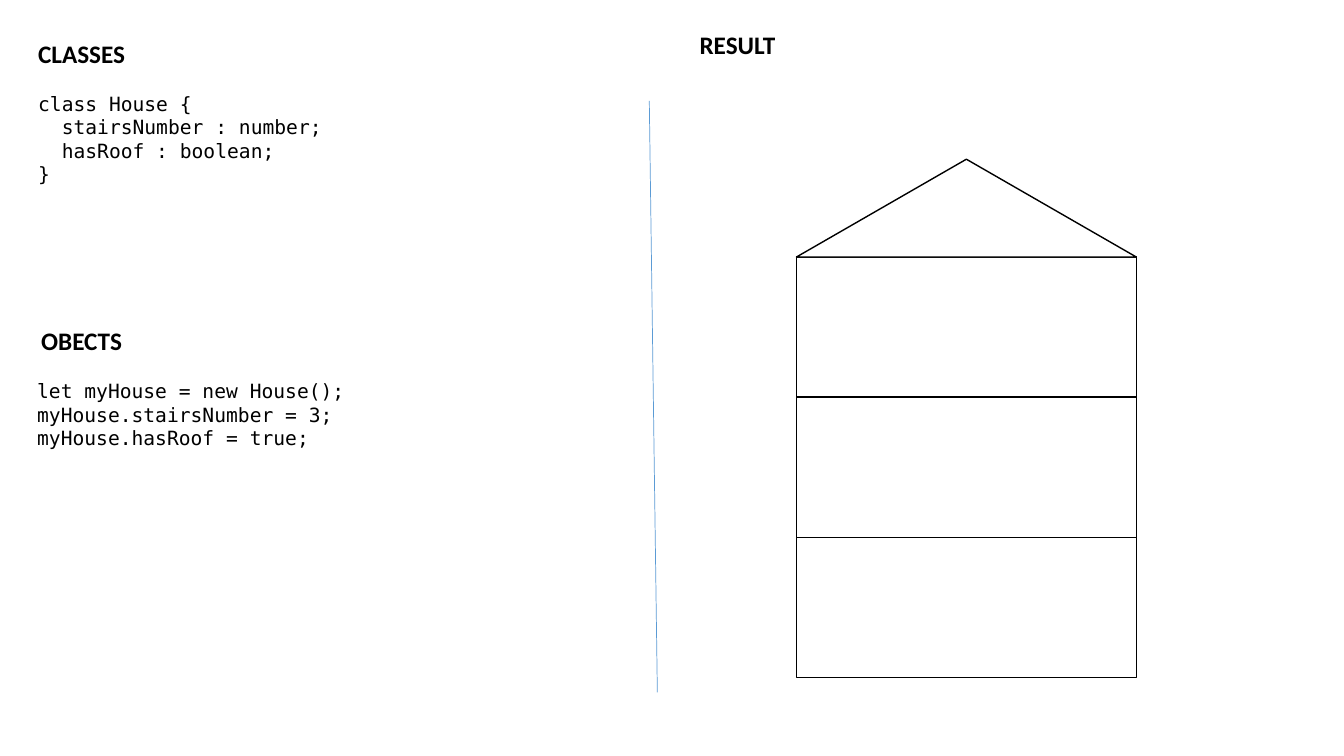
from dataclasses import dataclass

from lxml.etree import SubElement
from pptx import Presentation
from pptx.dml.color import RGBColor as RGB
from pptx.enum.shapes import MSO_CONNECTOR as Conn
from pptx.enum.shapes import MSO_SHAPE as Shape
from pptx.enum.text import MSO_AUTO_SIZE as Fit
from pptx.oxml.ns import qn
from pptx.util import Inches, Pt


@dataclass(frozen=True)
class Theme:
    ink: RGB = RGB(0x00, 0x00, 0x00)
    paper: RGB = RGB(0xFF, 0xFF, 0xFF)
    rule: RGB = RGB(0x5B, 0x9B, 0xD5)
    head_font: str = "Calibri"
    code_font: str = "DejaVu Sans Mono"
    head_size: Pt = Pt(18)
    code_size: Pt = Pt(14)
    edge: Pt = Pt(1)
    thin: Pt = Pt(0.5)


THEME = Theme()

CLASS_CODE = [
    "class House {",
    "  stairsNumber : number;",
    "  hasRoof : boolean;",
    "}",
]
OBJECT_CODE = [
    "let myHouse = new House();",
    "myHouse.stairsNumber = 3;",
    "myHouse.hasRoof = true;",
]


def add_text(slide, box, lines, font, size, bold=False, wrap=True):
    frame = slide.shapes.add_textbox(*map(Inches, box)).text_frame
    frame.word_wrap = wrap
    frame.auto_size = Fit.SHAPE_TO_FIT_TEXT
    for i, line in enumerate(lines):
        para = frame.add_paragraph() if i else frame.paragraphs[0]
        run = para.add_run()
        run.text = line
        run.font.name = font
        run.font.size = size
        run.font.bold = bold
        run.font.color.rgb = THEME.ink


def add_head(slide, left, top, width, title):
    add_text(slide, (left, top, width, 0.4), [title],
             THEME.head_font, THEME.head_size, bold=True, wrap=False)


def add_code(slide, left, top, height, lines):
    add_text(slide, (left, top, 5.35, height), lines,
             THEME.code_font, THEME.code_size)


def add_part(slide, kind, left, top, width, height):
    part = slide.shapes.add_shape(
        kind, *map(Inches, (left, top, width, height)))
    part.shadow.inherit = False
    part.fill.solid()
    part.fill.fore_color.rgb = THEME.paper
    part.line.color.rgb = THEME.ink
    part.line.width = THEME.edge


def add_rule(slide, *ends):
    rule = slide.shapes.add_connector(Conn.STRAIGHT, *map(Inches, ends))
    rule.line.color.rgb = THEME.rule
    rule.line.width = THEME.thin
    SubElement(rule._element.spPr, qn("a:effectLst"))


def add_house(slide, left, top, width, roof, floor, count):
    # Floors from the ground up, then the roof
    for level in reversed(range(count)):
        add_part(slide, Shape.RECTANGLE,
                 left, top + roof + level * floor, width, floor)
    add_part(slide, Shape.ISOSCELES_TRIANGLE, left, top, width, roof)


def main():
    deck = Presentation()
    deck.slide_width = Inches(13.33)
    deck.slide_height = Inches(7.5)
    slide = deck.slides.add_slide(deck.slide_layouts[6])

    # Left side: class and object code
    add_head(slide, 0.28, 0.33, 1.07, "CLASSES")
    add_code(slide, 0.28, 0.86, 1.04, CLASS_CODE)
    add_head(slide, 0.31, 3.18, 1.01, "OBECTS")
    add_code(slide, 0.27, 3.71, 0.81, OBJECT_CODE)

    # Divider
    add_rule(slide, 6.44, 1, 6.52, 6.87)

    # Right side: the house that results
    add_head(slide, 6.84, 0.24, 0.96, "RESULT")
    add_house(slide, 7.9, 1.58, 3.37, roof=0.97, floor=1.39, count=3)

    deck.save("out.pptx")


if __name__ == "__main__":
    main()
